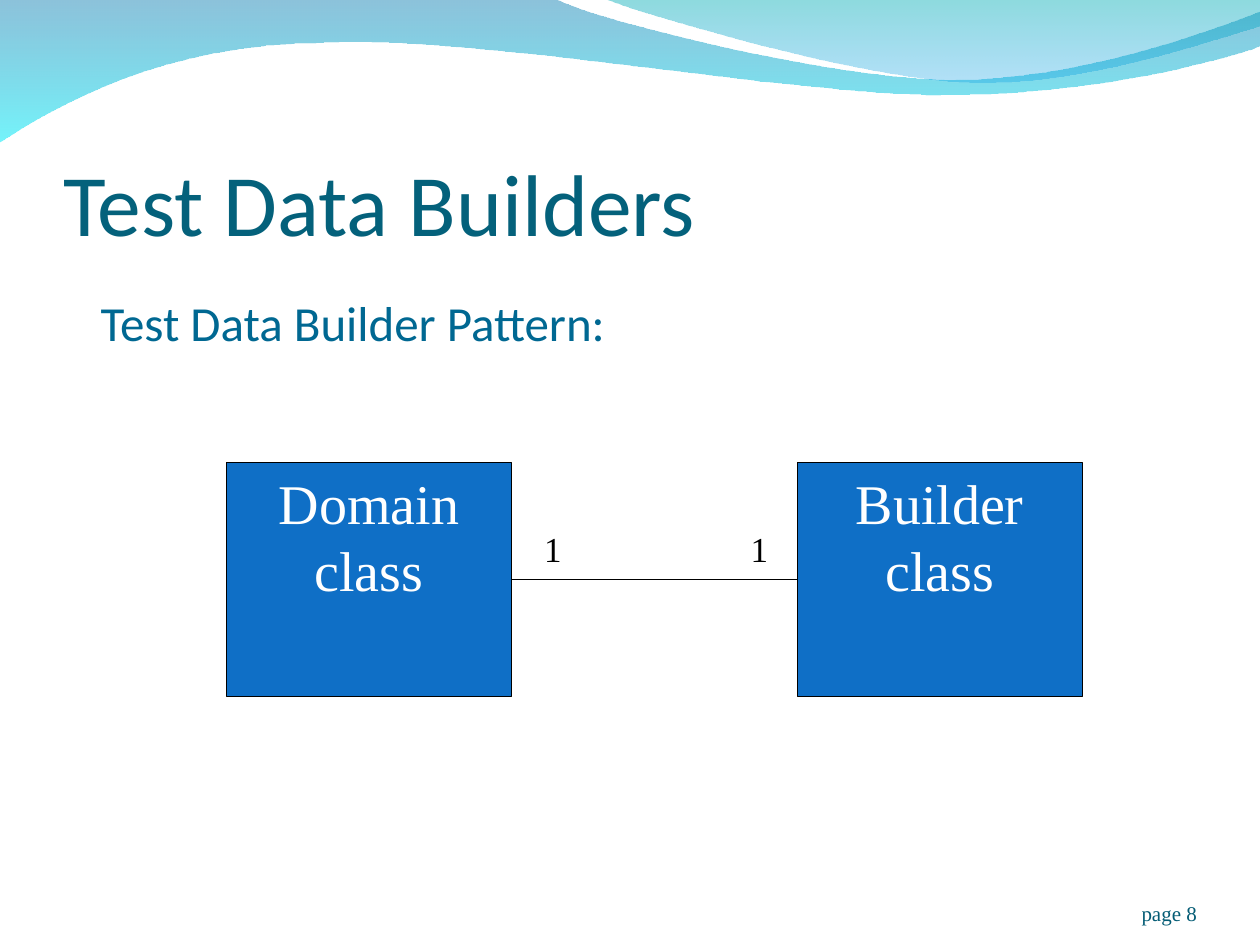
import pptx
import pptx.util
import pptx.dml.color
import pptx.enum.shapes
import pptx.enum.text
import pptx.oxml
import pptx.oxml.ns
import lxml.etree

RGB = pptx.dml.color.RGBColor
ALIGN = pptx.enum.text.PP_ALIGN
ANCHOR = pptx.enum.text.MSO_ANCHOR
SIZE = pptx.enum.text.MSO_AUTO_SIZE
Inches = pptx.util.Inches
Pt = pptx.util.Pt
qn = pptx.oxml.ns.qn

TEAL = RGB(0x04, 0x61, 0x7B)
PINE = RGB(0x04, 0x5C, 0x75)
OCEAN = RGB(0x00, 0x68, 0x92)
BLUE = RGB(0x0F, 0x6F, 0xC6)
WHITE = RGB(0xFF, 0xFF, 0xFF)
BLACK = RGB(0x00, 0x00, 0x00)
WAVE_TOP = RGB(0x00, 0x79, 0xAF)
WAVE_END = RGB(0x00, 0xEB, 0xF8)
CREST_TOP = RGB(0x00, 0xAD, 0xB6)
CREST_END = RGB(0x00, 0x9B, 0xE5)

SANS, SERIF = "Calibri", "Times New Roman"
WIDE, HIGH = 10, 7.5

WAVES = [
    ([(0, -0.01), (4.4, -0.01),
      (4.76, 0.17, 6.64, 0.63, 7.58, 0.63),
      (8.53, 0.63, 9.58, 0.26, 10, 0.09),
      (10.01, 0.36),
      (9.83, 0.44, 8.7, 0.76, 7.46, 0.75),
      (6.22, 0.75, 3.82, 0.28, 2.57, 0.34),
      (1.29, 0.35, 0.46, 0.83, -0.01, 1.13),
      (0, -0.01)],
     [(WAVE_TOP, 45), (WAVE_END, 55)]),
    ([(4.79, -0.01),
      (5.09, 0.11, 6.82, 0.62, 7.69, 0.65),
      (8.56, 0.69, 9.61, 0.32, 10, 0.21),
      (10, 0),
      (4.79, -0.01)],
     [(CREST_TOP, 45), (CREST_END, 30)]),
]

TITLE = "Test Data Builders"
LEAD = "Test Data Builder Pattern:"
PAGE = "page 8"
BOXES = ["Domain class", "Builder class"]
COUNTS = [("1", 4.22), ("1", 5.86)]

LEFT, TOP, STEP = 1.8, 3.67, 4.53
BOX_W, BOX_H = 2.26, 1.86
PAD = (0.1, 0.05, 0.1, 0.05)


def place(shape, *area):
    for name, val in zip(("left", "top", "width", "height"), area):
        setattr(shape, name, Inches(val))


def write(shape, text, size, face, color, align=ALIGN.LEFT,
          anchor=ANCHOR.TOP, pad=PAD, wrap=True, fit=SIZE.NONE):
    frame = shape.text_frame
    frame.text = text
    form = {"word_wrap": wrap, "auto_size": fit, "vertical_anchor": anchor}
    sides = ("margin_left", "margin_top", "margin_right", "margin_bottom")
    form.update(zip(sides, map(Inches, pad)))
    for name, val in form.items():
        setattr(frame, name, val)
    para = frame.paragraphs[0]
    para.alignment = align
    font = para.runs[0].font
    for name, val in {"size": Pt(size), "name": face}.items():
        setattr(font, name, val)
    font.color.rgb = color


def label(slide, area, *args, **form):
    box = slide.shapes.add_textbox(0, 0, 0, 0)
    place(box, *area)
    write(box, *args, **form)


def bend(wave, segs):
    lines = list(wave.element.iter(qn("a:lnTo")))
    for line, seg in zip(lines, segs):
        if len(seg) == 2:
            continue
        curve = lxml.etree.Element(qn("a:cubicBezTo"))
        for x, y in zip(seg[::2], seg[1::2]):
            dot = lxml.etree.SubElement(curve, qn("a:pt"))
            dot.set("x", str(Inches(x) - wave.left))
            dot.set("y", str(Inches(y) - wave.top))
        line.getparent().replace(line, curve)


def draw_wave(slide, segs, stops):
    pts = [tuple(map(Inches, seg[-2:])) for seg in segs]
    pen = slide.shapes.build_freeform(*pts[0])
    pen.add_line_segments(pts[1:], close=True)
    wave = pen.convert_to_shape()
    bend(wave, segs[1:])
    wave.shadow.inherit = False
    wave.line.fill.background()
    wave.fill.gradient()
    wave.fill.gradient_angle = 270
    for stop, (color, alpha) in zip(wave.fill.gradient_stops, stops):
        stop.color.rgb = color
    grad = wave.element.spPr.find(qn("a:gradFill"))
    tints = grad.iter(qn("a:srgbClr"))
    for i, (tint, (color, alpha)) in enumerate(zip(tints, stops)):
        mark = lxml.etree.SubElement(tint, qn("a:alpha"))
        mark.set("val", str(alpha * 1000))
        tint.getparent().set("pos", str(i * 100000))


def draw_box(slide, col, text):
    box = slide.shapes.add_shape(
        pptx.enum.shapes.MSO_SHAPE.RECTANGLE, 0, 0, 0, 0)
    place(box, LEFT + col * STEP, TOP, BOX_W, BOX_H)
    box.shadow.inherit = False
    box.fill.solid()
    box.fill.fore_color.rgb = BLUE
    box.line.color.rgb = BLACK
    box.line.width = Pt(0.75)
    write(box, text, 32, SERIF, WHITE, align=ALIGN.CENTER)


def draw_link(slide):
    mid = Inches(TOP + BOX_H / 2)
    link = slide.shapes.add_connector(
        pptx.enum.shapes.MSO_CONNECTOR.STRAIGHT,
        Inches(LEFT + BOX_W), mid, Inches(LEFT + STEP), mid)
    link.line.color.rgb = BLACK
    link.line.width = Pt(0.75)
    lxml.etree.SubElement(link.element.spPr, qn("a:effectLst"))


def main():
    deck = pptx.Presentation()
    deck.slide_width, deck.slide_height = Inches(WIDE), Inches(HIGH)
    slide = deck.slides.add_slide(deck.slide_layouts[5])
    for segs, stops in WAVES:
        draw_wave(slide, segs, stops)
    title = slide.shapes.title
    title.element.getparent().append(title.element)
    place(title, 0.5, 0.77, 9, 1.25)
    write(title, TITLE, 50, SANS, TEAL, anchor=ANCHOR.BOTTOM,
          pad=(0, 0.05, 0, 0))
    label(slide, (8.67, 6.95, 0.83, 0.4), PAGE, 12, SERIF, PINE,
          align=ALIGN.RIGHT, anchor=ANCHOR.BOTTOM, pad=(0, 0, 0, 0))
    grow = SIZE.SHAPE_TO_FIT_TEXT
    label(slide, (0.7, 2.27, 8.91, 0.57), LEAD, 28, SANS, OCEAN, fit=grow)
    for col, text in enumerate(BOXES):
        draw_box(slide, col, text)
    draw_link(slide)
    for text, left in COUNTS:
        label(slide, (left, 4.14, 0.34, 0.44), text, 20, SERIF, BLACK,
              wrap=False, fit=grow)
    deck.save("out.pptx")


if __name__ == "__main__":
    main()
